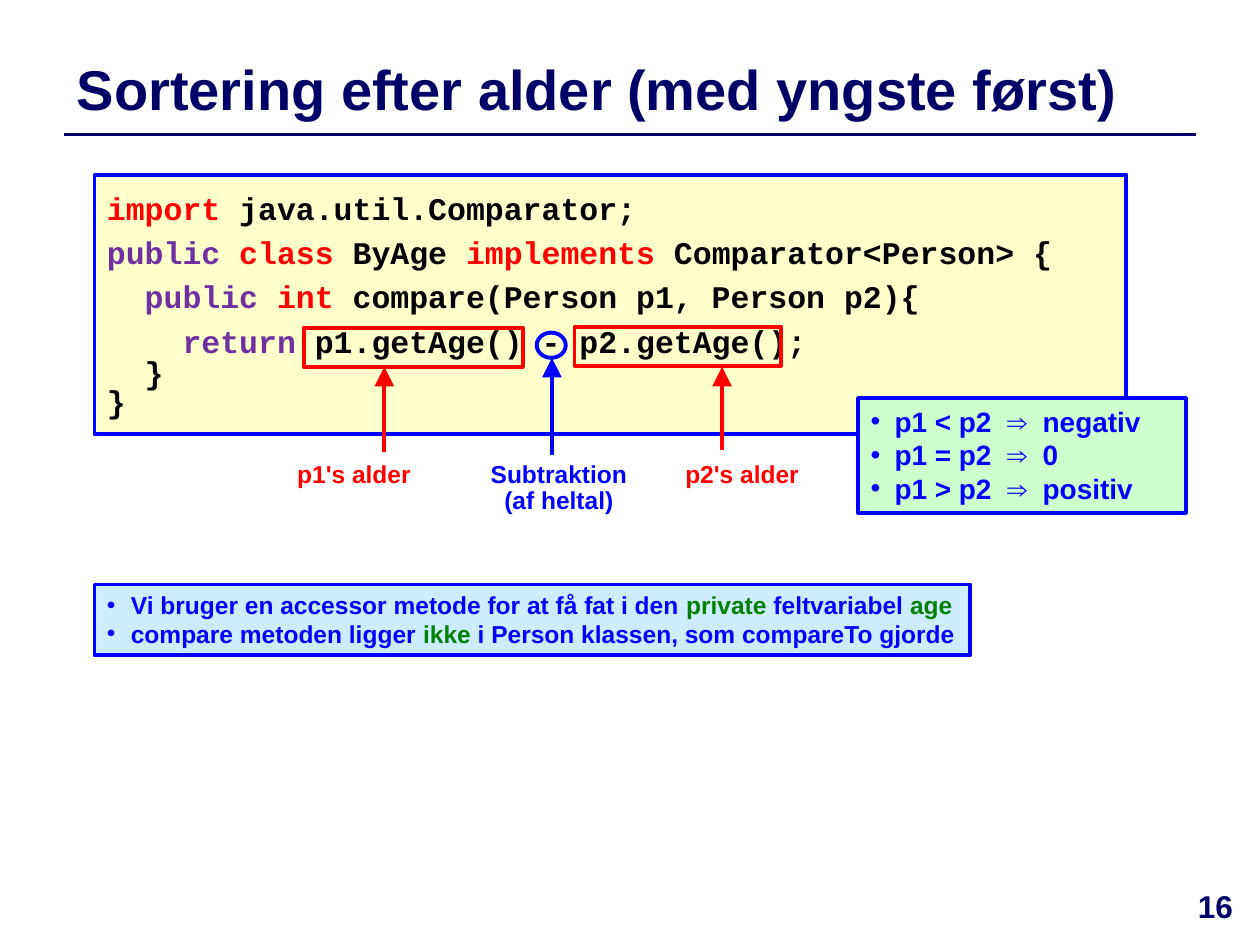
from collections import namedtuple
from dataclasses import dataclass

from lxml import etree
from pptx import Presentation
from pptx.dml.color import RGBColor
from pptx.enum.shapes import MSO_CONNECTOR, MSO_SHAPE
from pptx.enum.text import MSO_ANCHOR, PP_ALIGN
from pptx.oxml.ns import qn
from pptx.util import Pt

RECTANGLE, OVAL = MSO_SHAPE.RECTANGLE, MSO_SHAPE.OVAL
STRAIGHT = MSO_CONNECTOR.STRAIGHT
TOP, MIDDLE = MSO_ANCHOR.TOP, MSO_ANCHOR.MIDDLE
LEFT, CENTER = PP_ALIGN.LEFT, PP_ALIGN.CENTER
TITLE_ONLY = 5

Box = namedtuple("Box", "left top width height")
Callout = namedtuple("Callout", "kind mark arrow label text color align")


@dataclass(frozen=True)
class Theme:
    sans: str = "Arial"
    mono: str = "Courier New"
    navy: str = "000066"
    blue: str = "0000FF"
    red: str = "FF0000"
    purple: str = "7030A0"
    green: str = "008000"
    black: str = "000000"
    code_fill: str = "FFFFCC"
    result_fill: str = "CCFFCC"
    note_fill: str = "CCECFF"
    title_size: float = 32
    code_size: float = 18
    result_size: float = 16
    small_size: float = 14
    rule_width: float = 2
    line_width: float = 2.25


THEME = Theme()

CODE = [
    (0, 1, [("import ", THEME.red), ("java.util.Comparator;", THEME.black)]),
    (0, 1, [("public ", THEME.purple), ("class ", THEME.red), ("ByAge ", THEME.black),
            ("implements ", THEME.red), ("Comparator<Person> {", THEME.black)]),
    (1, 1, [("public ", THEME.purple), ("int ", THEME.red),
            ("compare(Person p1, Person p2){", THEME.black)]),
    (2, 1, [("return ", THEME.purple), ("p1.getAge() - p2.getAge();", THEME.black)]),
    (1, 0.6, [("}", THEME.black)]),
    (0, 0.6, [("}", THEME.black)]),
]
CALLOUTS = [
    Callout(RECTANGLE, Box(119.5, 87.3, 125.3, 22.3), (165.6, 158.4, 109.6),
            Box(108.7, 160.5, 106.6, 22.3), "p1's alder", THEME.red, LEFT),
    Callout(RECTANGLE, Box(274.3, 86.7, 118.1, 22.3), (358.6, 157, 109.6),
            Box(330.5, 160.5, 118.8, 22.3), "p2's alder", THEME.red, LEFT),
    Callout(OVAL, Box(252.7, 90.1, 16.6, 14.4), (261.4, 159.9, 104.5),
            Box(211, 160.5, 108.7, 38.2), "Subtraktion (af heltal)", THEME.blue, CENTER),
]
RESULTS = [("p1 < p2  ", "⇒  ", "negativ"), ("p1 = p2  ", "⇒", "  0"),
           ("p1 > p2  ", "⇒  ", "positiv")]
NOTES = [
    [("Vi bruger en accessor metode for at få fat i den ", THEME.blue),
     ("private", THEME.green), (" feltvariabel ", THEME.blue), ("age", THEME.green)],
    [("compare metoden ligger ", THEME.blue), ("ikke", THEME.green),
     (" i Person klassen, som compareTo gjorde", THEME.blue)],
]


def points(values):
    return [Pt(value) for value in values]


def inside(box, part):
    return part._replace(left=box.left + part.left, top=box.top + part.top)


def style_span(span, font, size, color, bold=True):
    span.font.name = font
    span.font.size = Pt(size)
    span.font.bold = bold
    span.font.color.rgb = RGBColor.from_string(color)


def add_span(para, text, font, size, color, bold=True):
    span = para.add_run()
    span.text = text
    style_span(span, font, size, color, bold)


def next_para(frame, index):
    return frame.add_paragraph() if index else frame.paragraphs[0]


def add_bullet(para):
    properties = para._p.get_or_add_pPr()
    properties.set("marL", str(Pt(13.7)))
    properties.set("indent", str(-Pt(13.7)))
    etree.SubElement(properties, qn("a:buFont"), typeface=THEME.sans)
    etree.SubElement(properties, qn("a:buChar"), char="•")


def add_shape(page, kind, box, color, fill=None):
    shape = page.shapes.add_shape(kind, *points(box))
    shape.shadow.inherit = False
    shape.line.color.rgb = RGBColor.from_string(color)
    shape.line.width = Pt(THEME.line_width)
    if fill:
        shape.fill.solid()
        shape.fill.fore_color.rgb = RGBColor.from_string(fill)
    else:
        shape.fill.background()
    return shape


def add_panel(page, box, fill, top_margin=3.6):
    frame = add_shape(page, RECTANGLE, box, THEME.blue, fill).text_frame
    frame.word_wrap = True
    frame.vertical_anchor = TOP
    frame.margin_top = Pt(top_margin)
    return frame


def add_line(page, start, end, color, width, arrow=False):
    line = page.shapes.add_connector(STRAIGHT, *points(start + end))
    line.line.color.rgb = RGBColor.from_string(color)
    line.line.width = Pt(width)
    if arrow:
        etree.SubElement(line.line._get_or_add_ln(), qn("a:tailEnd"),
                         type="triangle", w="lg", len="lg")
    etree.SubElement(line._element.spPr, qn("a:effectLst"))


def add_text(page, box, text, size, color, align, spacing=1):
    frame = page.shapes.add_textbox(*points(box)).text_frame
    frame.word_wrap = True
    frame.text = text
    para = frame.paragraphs[0]
    para.alignment = align
    para.line_spacing = spacing
    style_span(para.runs[0], THEME.sans, size, color)


def place_title(page, box, text):
    title = page.shapes.title
    title.left, title.top, title.width, title.height = points(box)
    title.text_frame.text = text
    title.text_frame.vertical_anchor = MIDDLE
    para = title.text_frame.paragraphs[0]
    para.alignment = LEFT
    style_span(para.runs[0], THEME.sans, THEME.title_size, THEME.navy)
    rule_top = box.top + box.height + 2.6
    add_line(page, (box.left, rule_top), (box.left + 646.6, rule_top),
             THEME.navy, THEME.rule_width)


def place_code(page, box):
    frame = add_panel(page, box, THEME.code_fill, top_margin=7.8)
    for index, (level, spacing, spans) in enumerate(CODE):
        para = next_para(frame, index)
        para.alignment = LEFT
        para.line_spacing = spacing
        para.space_before = Pt(3.8 if index else 0)
        para._p.get_or_add_pPr().set("marL", str(Pt(21.6 * level)))
        for text, color in spans:
            add_span(para, text, THEME.mono, THEME.code_size, color)


def place_callouts(page, box):
    for item in CALLOUTS:
        add_shape(page, item.kind, inside(box, item.mark), item.color)
        across, start, end = item.arrow
        add_line(page, (box.left + across, box.top + start),
                 (box.left + across, box.top + end),
                 item.color, THEME.line_width, arrow=True)
        add_text(page, inside(box, item.label), item.text, THEME.small_size,
                 item.color, item.align, spacing=0.9)


def place_results(page, box):
    frame = add_panel(page, box, THEME.result_fill)
    for index, parts in enumerate(RESULTS):
        para = next_para(frame, index)
        para.alignment = LEFT
        add_bullet(para)
        for text, bold in zip(parts, (True, False, True)):
            add_span(para, text, THEME.sans, THEME.result_size, THEME.blue, bold)


def place_notes(page, box):
    frame = add_panel(page, box, THEME.note_fill, top_margin=6.5)
    for index, spans in enumerate(NOTES):
        para = next_para(frame, index)
        para.alignment = LEFT
        para.line_spacing = 0.8
        para.space_before = Pt(3 if index else 0)
        add_bullet(para)
        for text, color in spans:
            add_span(para, text, THEME.sans, THEME.small_size, color)


def main():
    deck = Presentation()
    deck.slide_width, deck.slide_height = Pt(720), Pt(540)
    page = deck.slides.add_slide(deck.slide_layouts[TITLE_ONLY])
    code_box = Box(54, 100, 589.7, 148.3)
    place_title(page, Box(36.7, 26.4, 683.3, 48), "Sortering efter alder (med yngste først)")
    place_code(page, code_box)
    place_callouts(page, code_box)
    place_results(page, Box(490.4, 227.5, 187.2, 65.5))
    place_notes(page, Box(54, 334, 500.4, 40.4))
    add_text(page, Box(668.9, 503.3, 51.1, 36), "16", THEME.code_size, THEME.navy, CENTER)
    deck.save("out.pptx")


if __name__ == "__main__":
    main()
